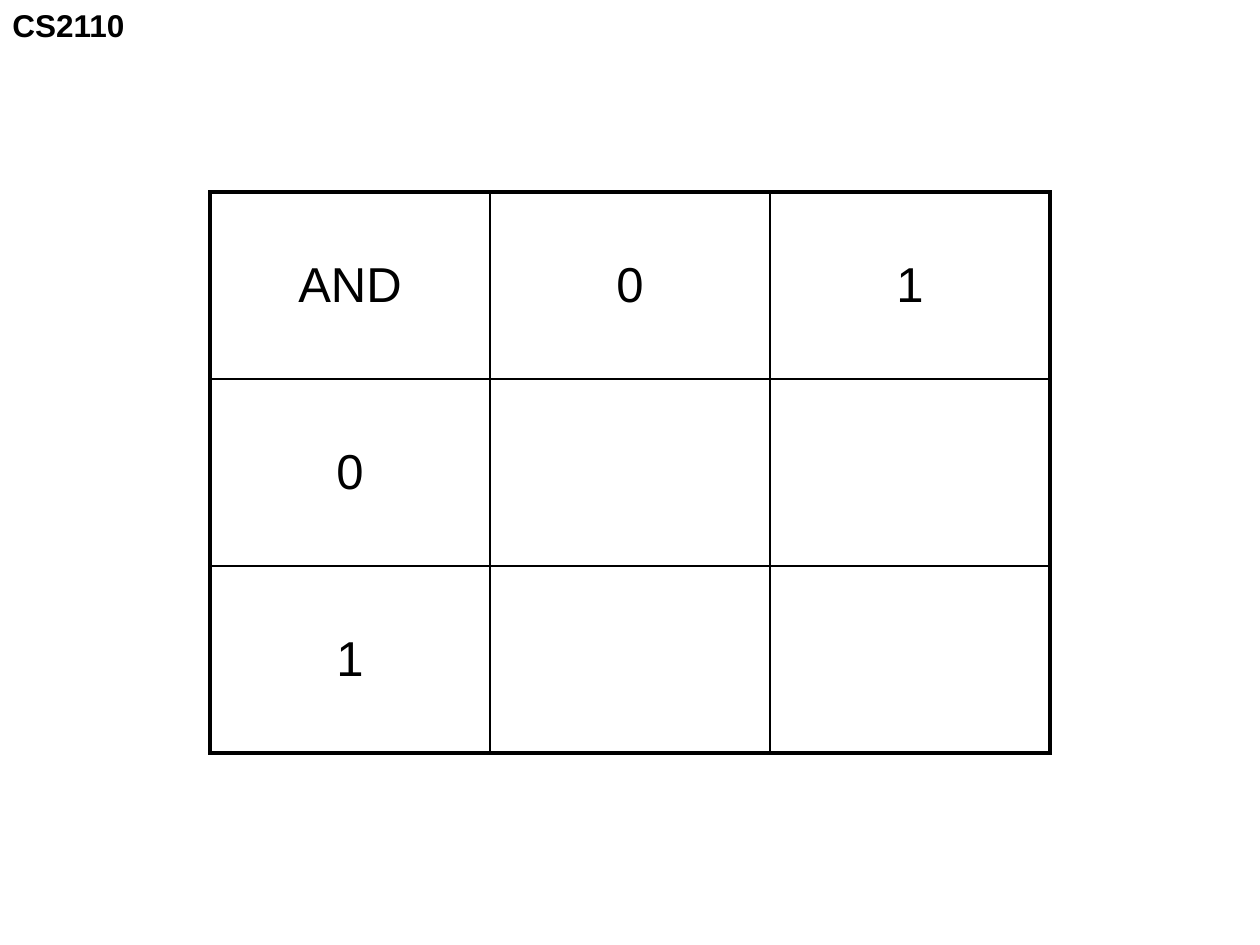
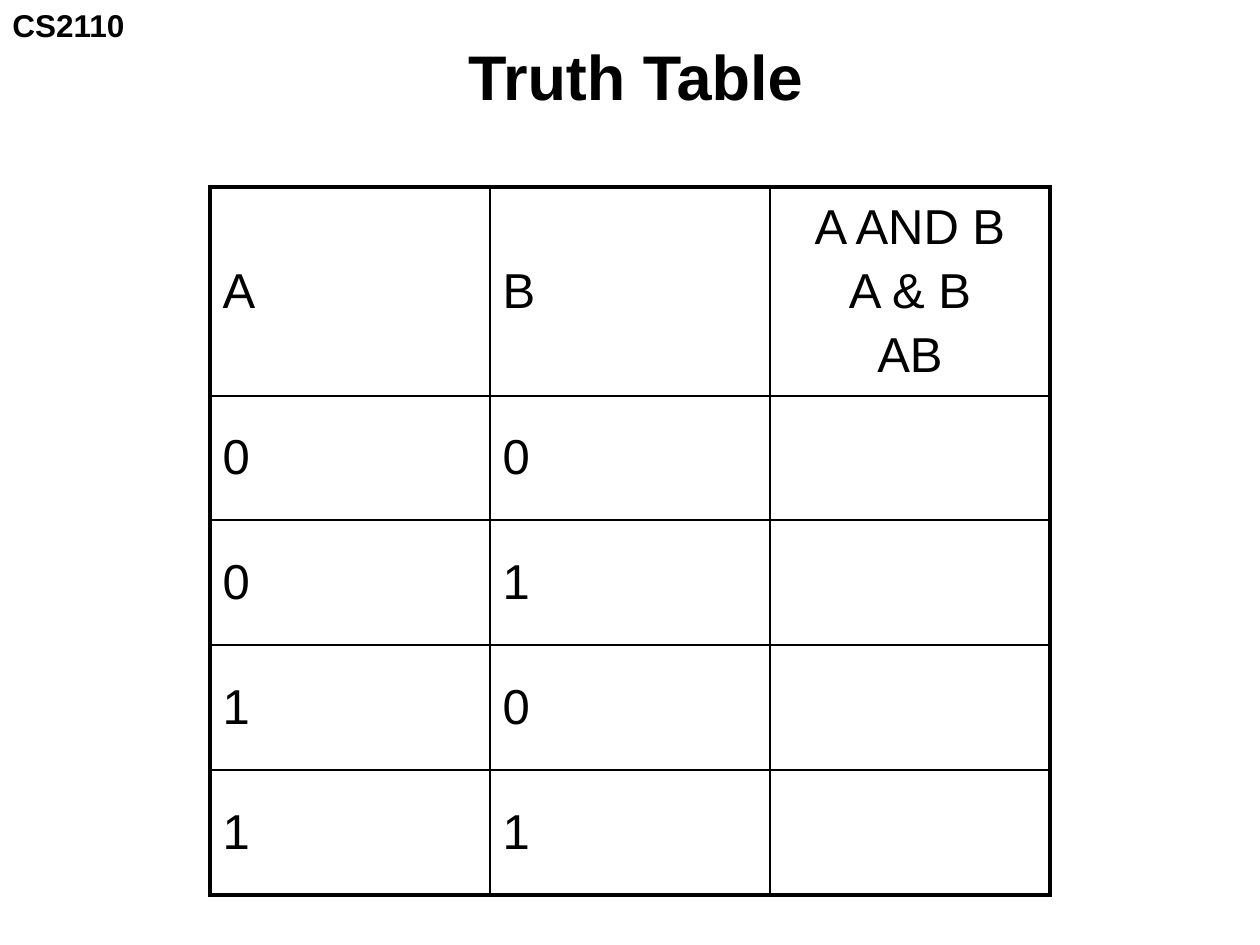
from dataclasses import dataclass

from lxml import etree
from pptx import Presentation
from pptx import util as u
from pptx.dml.color import RGBColor
from pptx.enum import text
from pptx.oxml import ns


@dataclass(frozen=True)
class Theme:
    font: str = "Arial"
    ink: str = "000000"
    tag_size: int = 18
    cell_size: int = 28
    title_size: int = 36
    para_gap: float = 5.6
    outer_line: float = 2.25
    inner_line: float = 1


THEME = Theme()
LEFT, CENTER = text.PP_ALIGN.LEFT, text.PP_ALIGN.CENTER
MIDDLE = text.MSO_ANCHOR.MIDDLE


def px(n):
    return u.Emu(round(n * 914400 / 126))


def apply(target, values):
    for name, value in values.items():
        setattr(target, name, value)


def write(tf, lines, size, bold=False, align=LEFT):
    for i, line in enumerate(lines):
        p = tf.paragraphs[0] if i == 0 else tf.add_paragraph()
        p.alignment = align
        p.space_before = u.Pt(THEME.para_gap if i else 0)
        r = p.add_run()
        r.text = line
        apply(r.font, {"name": THEME.font, "size": u.Pt(size), "bold": bold})
        r.font.color.rgb = RGBColor.from_string(THEME.ink)


def add_border(cell, index, side, width):
    ln = etree.Element(ns.qn(f"a:ln{side}"), w=str(u.Pt(width)))
    fill = etree.SubElement(ln, ns.qn("a:solidFill"))
    etree.SubElement(fill, ns.qn("a:srgbClr"), val=THEME.ink)
    cell._tc.get_or_add_tcPr().insert(index, ln)


def add_grid(s, box, row_heights, rows, aligns):
    n_rows, n_cols = len(rows), len(rows[0])
    table = s.shapes.add_table(n_rows, n_cols, *map(px, box)).table
    apply(table, {"first_row": False, "horz_banding": False})
    for column in table.columns:
        column.width = px(box[2] // n_cols)
    for i, height in enumerate(row_heights):
        table.rows[i].height = px(height)
        for j, content in enumerate(rows[i]):
            cell = table.cell(i, j)
            cell.fill.background()
            cell.vertical_anchor = MIDDLE
            if content:
                write(cell.text_frame, content.split("\n"), THEME.cell_size, align=aligns[j])
            edges = {"L": j == 0, "R": j == n_cols - 1, "T": i == 0, "B": i == n_rows - 1}
            for index, (side, outer) in enumerate(edges.items()):
                add_border(cell, index, side, THEME.outer_line if outer else THEME.inner_line)


def add_course_tag(s, box):
    tf = s.shapes.add_textbox(*map(px, box)).text_frame
    apply(tf, {"word_wrap": False, "auto_size": text.MSO_AUTO_SIZE.SHAPE_TO_FIT_TEXT})
    write(tf, ["CS2110"], THEME.tag_size, bold=True)


def add_tagged_slide(prs, layout):
    s = prs.slides.add_slide(prs.slide_layouts.get_by_name(layout))
    add_course_tag(s, (0, 0, 139, 50))
    return s


def set_title(s, title, box):
    sp = s.shapes.title
    apply(sp, dict(zip(("left", "top", "width", "height"), map(px, box))))
    apply(sp.text_frame, {"word_wrap": True, "vertical_anchor": MIDDLE,
                          "auto_size": text.MSO_AUTO_SIZE.NONE})
    write(sp.text_frame, [title], THEME.title_size, bold=True, align=CENTER)


def and_grid_slide(prs):
    s = add_tagged_slide(prs, "Blank")
    rows = [["AND", "0", "1"], ["0", "", ""], ["1", "", ""]]
    add_grid(s, (210, 192, 840, 561), [187] * 3, rows, [CENTER] * 3)


def truth_table_slide(prs):
    s = add_tagged_slide(prs, "Title Only")
    set_title(s, "Truth Table", (231, 30, 809, 90))
    rows = [["A", "B", "A AND B\nA & B\nAB"]]
    rows += [[a, b, ""] for a in "01" for b in "01"]
    add_grid(s, (210, 187, 840, 708), [209, 124] + [125] * 3, rows, [LEFT, LEFT, CENTER])


def main():
    prs = Presentation()
    apply(prs, {"slide_width": px(1260), "slide_height": px(945)})
    and_grid_slide(prs)
    truth_table_slide(prs)
    prs.save("out.pptx")


if __name__ == "__main__":
    main()
